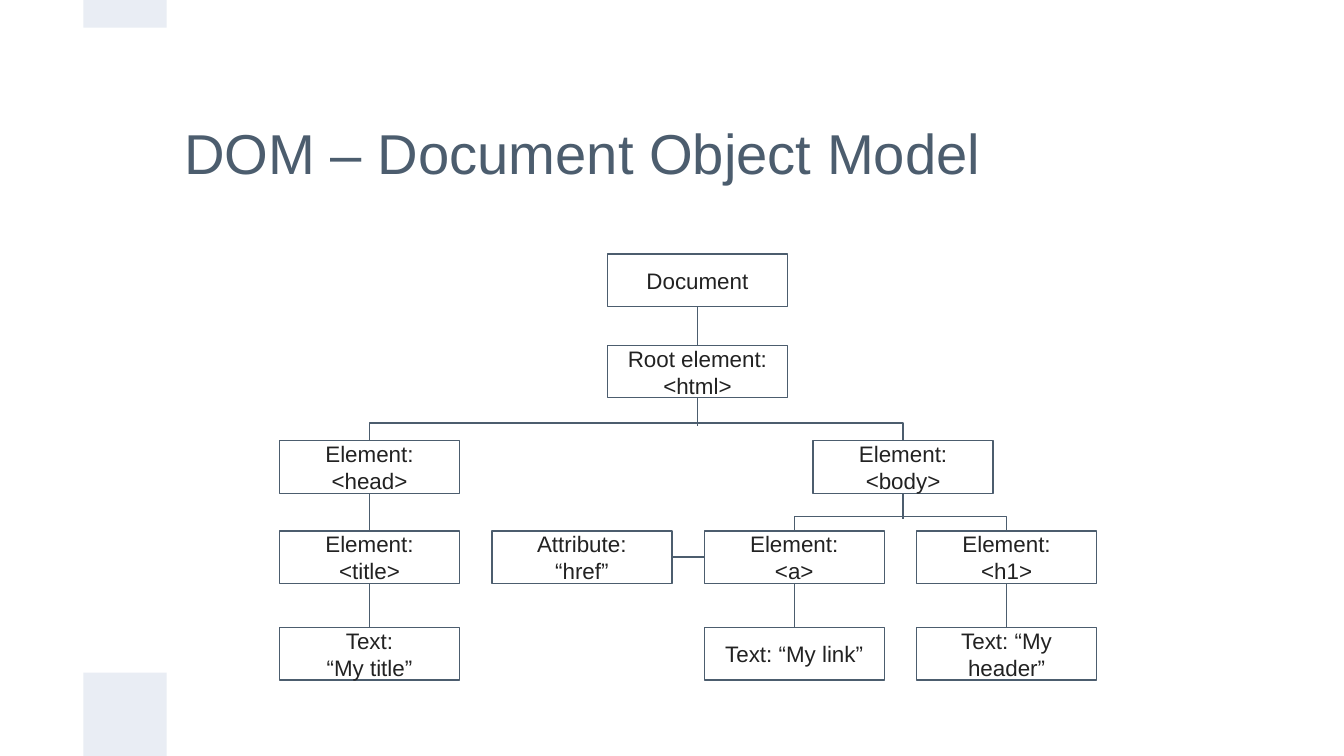
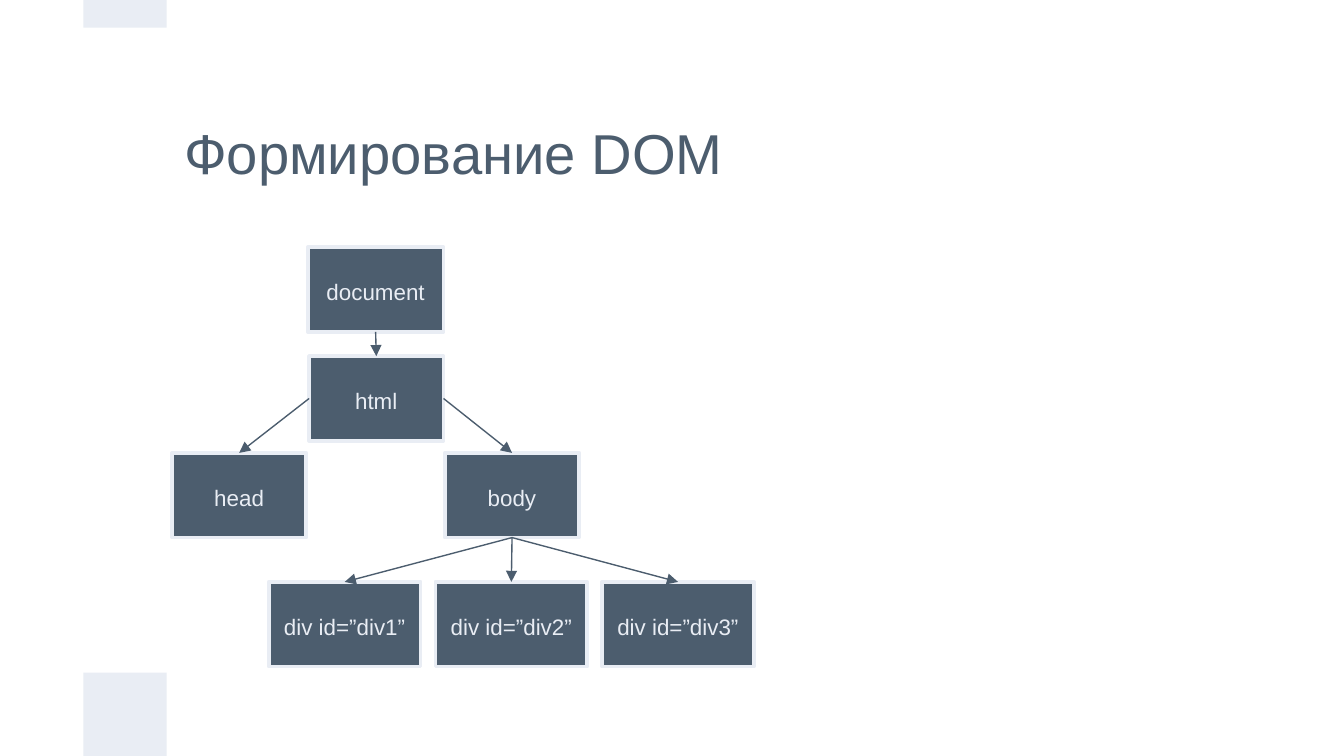
from dataclasses import dataclass

from lxml import etree
from pptx import Presentation
from pptx.dml.color import RGBColor
from pptx.enum.shapes import MSO_CONNECTOR, MSO_SHAPE
from pptx.enum.text import MSO_ANCHOR, PP_ALIGN
from pptx.oxml.ns import qn
from pptx.util import Emu, Inches, Pt

RECTANGLE = MSO_SHAPE.RECTANGLE
STRAIGHT, ELBOW = MSO_CONNECTOR.STRAIGHT, MSO_CONNECTOR.ELBOW
MIDDLE, CENTER, LEFT_ALIGN = MSO_ANCHOR.MIDDLE, PP_ALIGN.CENTER, PP_ALIGN.LEFT
TOP, LEFT, BOTTOM, RIGHT = range(4)
QUARTER_TURN_BACK = "16200000"
BRACKET_DEPTH = Emu(600)


@dataclass(frozen=True)
class Theme:
    """Colours, type sizes and measures shared by the slides."""

    slate: RGBColor = RGBColor(0x4C, 0x5D, 0x6E)
    pale: RGBColor = RGBColor(0xE9, 0xED, 0xF4)
    ink: RGBColor = RGBColor(0x22, 0x22, 0x22)
    white: RGBColor = RGBColor(0xFF, 0xFF, 0xFF)
    font: str = "Arial"
    title_size: float = 30.1
    node_size: float = 12
    link_width: float = 0.75
    width: float = 10
    height: float = 5.625
    module: float = 0.62


@dataclass(frozen=True)
class NodeStyle:
    """Look of the boxes in one tree."""

    fill: RGBColor | None
    border: RGBColor
    border_width: float
    text: RGBColor
    inset: float
    spacing: float


THEME = Theme()
OUTLINED = NodeStyle(None, THEME.slate, 0.75, THEME.ink, 0.1, 1)
SOLID = NodeStyle(THEME.slate, THEME.pale, 2, THEME.pale, 0.05, 1.15)


def write(frame, text, size, color, align, insets, spacing=1):
    """Fill a text frame and format all its runs."""
    frame.text = text
    frame.word_wrap = True
    frame.vertical_anchor = MIDDLE
    frame.margin_left = frame.margin_right = Inches(insets[0])
    frame.margin_top = frame.margin_bottom = Inches(insets[1])
    for paragraph in frame.paragraphs:
        paragraph.alignment = align
        paragraph.line_spacing = spacing
        for run in paragraph.runs:
            run.font.name = THEME.font
            run.font.size = Pt(size)
            run.font.color.rgb = color


def add_box(slide, left, top, width, height, fill):
    """Add a borderless rectangle, hollow when fill is None."""
    box = slide.shapes.add_shape(
        RECTANGLE, Inches(left), Inches(top), Inches(width), Inches(height))
    box.shadow.inherit = False
    box.line.fill.background()
    if fill is None:
        box.fill.background()
    else:
        box.fill.solid()
        box.fill.fore_color.rgb = fill
    return box


def add_titled_slide(deck, title):
    """Add a blank slide with the two side bands and a title."""
    slide = deck.slides.add_slide(deck.slide_layouts[6])
    slide.background.fill.solid()
    slide.background.fill.fore_color.rgb = THEME.white
    unit = THEME.module
    add_box(slide, unit, THEME.height - unit, unit, unit, THEME.pale)
    add_box(slide, unit, 0, unit, unit / 3, THEME.pale)
    heading = slide.shapes.add_textbox(
        Inches(2 * unit), Inches(0.63), Inches(7.5), Inches(1))
    write(heading.text_frame, title, THEME.title_size, THEME.slate,
          LEFT_ALIGN, (0.13, 0.13))
    return slide


def add_node(slide, label, left, top, size, style):
    """Add one labelled box of a tree."""
    node = add_box(slide, left, top, *size, style.fill)
    node.line.color.rgb = style.border
    node.line.width = Pt(style.border_width)
    write(node.text_frame, label, THEME.node_size, style.text, CENTER,
          (0.1, style.inset), style.spacing)
    return node


def add_link(slide, start, start_side, end, end_side, kind=STRAIGHT, arrow=False):
    """Join the sides of two boxes."""
    link = slide.shapes.add_connector(kind, 0, 0, 0, 0)
    link.begin_connect(start, start_side)
    link.end_connect(end, end_side)
    return style_link(link, arrow)


def style_link(link, arrow=False):
    """Give a connector its colour, width and optional arrowhead."""
    link.line.color.rgb = THEME.slate
    link.line.width = Pt(THEME.link_width)
    if arrow:
        etree.SubElement(link.line._ln, qn("a:tailEnd"), type="triangle")
    etree.SubElement(link._element.spPr, qn("a:effectLst"))
    return link


def add_fork(slide, parent, first, last, rise):
    """Draw a bracket over two sibling boxes and a stem from their parent."""
    bracket = add_link(slide, first, TOP, last, TOP, ELBOW)
    start, span = bracket.begin_x, bracket.end_x - bracket.begin_x
    bracket.left = start + (span - BRACKET_DEPTH) // 2
    bracket.top = first.top - span // 2
    bracket.width, bracket.height = BRACKET_DEPTH, span
    properties = bracket._element.spPr
    frame = properties.find(qn("a:xfrm"))
    frame.set("rot", QUARTER_TURN_BACK)
    frame.set("flipH", "1")
    geometry = properties.find(qn("a:prstGeom"))
    guides = geometry.find(qn("a:avLst"))
    if guides is None:
        guides = etree.SubElement(geometry, qn("a:avLst"))
    bend = -round(Inches(rise) / BRACKET_DEPTH * 100000)
    etree.SubElement(guides, qn("a:gd"), name="adj1", fmla=f"val {bend}")

    center = parent.left + parent.width // 2
    stem = slide.shapes.add_connector(
        STRAIGHT, center, parent.top + parent.height,
        center, first.top - Inches(rise))
    stem.begin_connect(parent, BOTTOM)
    style_link(stem)


def build_model_slide(deck):
    """Show the document object model as a tree of outlined boxes."""
    slide = add_titled_slide(deck, "DOM – Document Object Model")
    columns = [2.08 + 1.58 * index for index in range(4)]
    rows = [1.89, 2.57, 3.28, 3.95, 4.67]
    root_left, body_left = 4.52, 6.05
    layout = {
        "document": ("Document", root_left, 0),
        "html": ("Root element:\n<html>", root_left, 1),
        "head": ("Element:\n<head>", columns[0], 2),
        "body": ("Element:\n<body>", body_left, 2),
        "h1": ("Element:\n<h1>", columns[3], 3),
        "a": ("Element:\n<a>", columns[2], 3),
        "href": ("Attribute:\n“href”", columns[1], 3),
        "title": ("Element:\n<title>", columns[0], 3),
        "title text": ("Text:\n“My title”", columns[0], 4),
        "link text": ("Text: “My link”", columns[2], 4),
        "header text": ("Text: “My header”", columns[3], 4),
    }
    nodes = {key: add_node(slide, label, left, rows[row], (1.34, 0.39), OUTLINED)
             for key, (label, left, row) in layout.items()}
    for parent, child in (("document", "html"), ("head", "title"),
                          ("title", "title text"), ("a", "link text"),
                          ("h1", "header text")):
        add_link(slide, nodes[parent], BOTTOM, nodes[child], TOP)
    add_link(slide, nodes["href"], RIGHT, nodes["a"], LEFT)
    add_fork(slide, nodes["html"], nodes["head"], nodes["body"], 0.11)
    add_fork(slide, nodes["body"], nodes["a"], nodes["h1"], 0.09)


def build_forming_slide(deck):
    """Show how the tree forms, as solid boxes joined by arrows."""
    slide = add_titled_slide(deck, "Формирование DOM")
    rows = [1.84, 2.65, 3.37, 4.33]
    layout = [("document", 2.29, 0, 1.01), ("html", 2.3, 1, 1),
              ("head", 1.28, 2, 1), ("body", 3.31, 2, 1)]
    divs = [f"div id=”div{number}”" for number in (1, 2, 3)]
    layout += [(label, 2 + 1.24 * index, 3, 1.13)
               for index, label in enumerate(divs)]
    nodes = {label: add_node(slide, label, left, rows[row], (width, 0.63), SOLID)
             for label, left, row, width in layout}
    links = [("document", BOTTOM, "html"), ("html", LEFT, "head"),
             ("html", RIGHT, "body")]
    links += [("body", BOTTOM, label) for label in divs]
    for parent, side, child in links:
        add_link(slide, nodes[parent], side, nodes[child], TOP, arrow=True)


def main():
    """Build and save the deck."""
    deck = Presentation()
    deck.slide_width = Inches(THEME.width)
    deck.slide_height = Inches(THEME.height)
    build_model_slide(deck)
    build_forming_slide(deck)
    deck.save("out.pptx")


if __name__ == "__main__":
    main()
